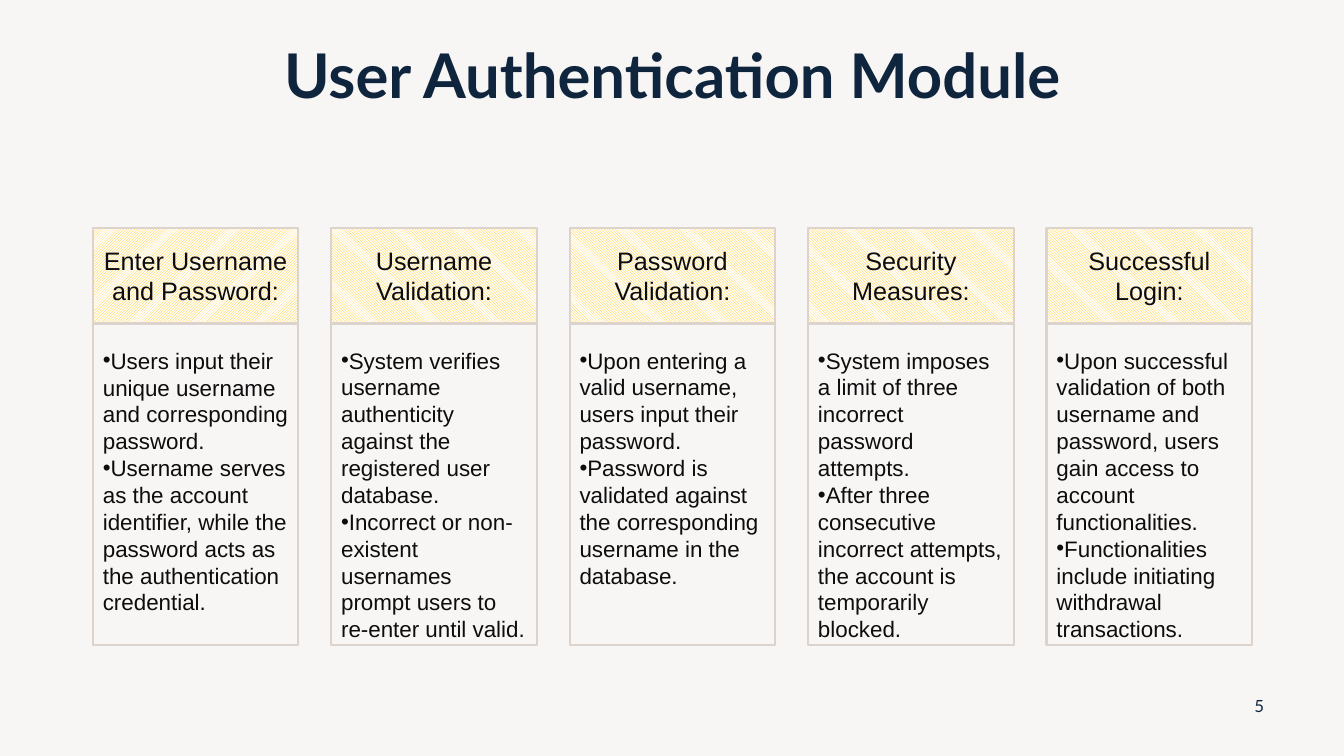
"""Build the User Authentication Module slide."""
from lxml.etree import SubElement
from pptx import Presentation
from pptx.dml.color import RGBColor
from pptx.enum.dml import MSO_PATTERN as Pattern
from pptx.enum.shapes import MSO_SHAPE as Shape
from pptx.enum.text import MSO_ANCHOR as Anchor, MSO_AUTO_SIZE as AutoSize, PP_ALIGN as Align
from pptx.oxml.ns import qn
from pptx.util import Inches, Pt

BACKGROUND = RGBColor(0xF8, 0xF6, 0xF5)
BORDER = RGBColor(0xDC, 0xD3, 0xCC)
GOLD = RGBColor(0xFF, 0xC0, 0x00)
WHITE = RGBColor(0xFF, 0xFF, 0xFF)
NAVY = RGBColor(0x0F, 0x25, 0x3E)
INK = RGBColor(0x0D, 0x0D, 0x0D)

LEFT, TOTAL_WIDTH, COLUMN_WIDTH = 0.92, 11.5, 2.04
HEADER_TOP, HEADER_HEIGHT = 2.26, 0.95
LIST_TOP, LIST_HEIGHT = 3.2, 3.2

COLUMNS = [
    ("Enter Username and Password:", [
        "Users input their unique username and corresponding password.",
        "Username serves as the account identifier, while the password acts as "
        "the authentication credential."]),
    ("Username Validation:", [
        "System verifies username authenticity against the registered user database.",
        "Incorrect or non-existent usernames prompt users to re-enter until valid."]),
    ("Password Validation:", [
        "Upon entering a valid username, users input their password.",
        "Password is validated against the corresponding username in the database."]),
    ("Security Measures:", [
        "System imposes a limit of three incorrect password attempts.",
        "After three consecutive incorrect attempts, the account is temporarily blocked."]),
    ("Successful Login:", [
        "Upon successful validation of both username and password, users gain "
        "access to account functionalities.",
        "Functionalities include initiating withdrawal transactions."]),
]


def place(box, left, top, width, height):
    """Set the position and size of a box in inches."""
    box.left, box.top = Inches(left), Inches(top)
    box.width, box.height = Inches(width), Inches(height)


def write(box, lines, font, size, color, align, anchor, bold=False):
    """Fill a box with one formatted paragraph per line."""
    frame = box.text_frame
    frame.text = "\n".join(lines)
    frame.word_wrap = True
    frame.auto_size = AutoSize.NONE
    frame.vertical_anchor = anchor
    for para in frame.paragraphs:
        para.alignment = align
        para.space_before = Pt(0)
        for span in para.runs:
            span.font.name = font
            span.font.size = Pt(size)
            span.font.bold = bold
            span.font.color.rgb = color


def outline(box):
    """Give a box the thin column border."""
    box.line.color.rgb = BORDER
    box.line.width = Pt(1.5)


def add_bullet(para):
    """Put a bullet flush against the paragraph text."""
    properties = para._p.get_or_add_pPr()
    properties.set("marL", "0")
    properties.set("indent", "0")
    SubElement(properties, qn("a:buFont")).set("typeface", "Arial")
    SubElement(properties, qn("a:buChar")).set("char", "•")


def format_list(box, left, items):
    """Turn a box into the bulleted list of a column."""
    place(box, left, LIST_TOP, COLUMN_WIDTH, LIST_HEIGHT)
    outline(box)
    write(box, items, "Arial", 16, INK, Align.LEFT, Anchor.TOP)
    box.text_frame.margin_top = Inches(0.24)
    for para in box.text_frame.paragraphs:
        add_bullet(para)


def add_header(slide, left, text, pattern):
    """Add the hatched heading of a column."""
    box = slide.shapes.add_shape(
        Shape.RECTANGLE, Inches(left), Inches(HEADER_TOP),
        Inches(COLUMN_WIDTH), Inches(HEADER_HEIGHT))
    box.shadow.inherit = False
    box.fill.patterned()
    box.fill.pattern = pattern
    box.fill.fore_color.rgb = GOLD
    box.fill.back_color.rgb = WHITE
    outline(box)
    write(box, [text], "Arial", 18, INK, Align.CENTER, Anchor.MIDDLE)
    box.text_frame.paragraphs[0].space_before = Pt(10)


def add_text_box(slide):
    """Add an empty text box to be placed later."""
    return slide.shapes.add_textbox(0, 0, 0, 0)


def main():
    """Build and save the deck."""
    deck = Presentation()
    deck.slide_width, deck.slide_height = Inches(13.33), Inches(7.5)
    slide = deck.slides.add_slide(deck.slide_layouts[1])
    slide.background.fill.solid()
    slide.background.fill.fore_color.rgb = BACKGROUND

    title, body = slide.placeholders
    place(title, LEFT, 0.4, TOTAL_WIDTH, 1.45)
    write(title, ["User Authentication Module"], "Lato", 44, NAVY,
          Align.CENTER, Anchor.TOP, bold=True)
    title.text_frame.paragraphs[0].line_spacing = 0.9

    pitch = (TOTAL_WIDTH - COLUMN_WIDTH) / (len(COLUMNS) - 1)
    for index, (heading, items) in enumerate(COLUMNS):
        left = LEFT + index * pitch
        first = index == 0
        format_list(body if first else add_text_box(slide), left, items)
        add_header(slide, left, heading, Pattern.LIGHT_UPWARD_DIAGONAL if first
                   else Pattern.LIGHT_DOWNWARD_DIAGONAL)

    number = add_text_box(slide)
    place(number, 12.24, 6.8, 0.5, 0.4)
    write(number, ["5"], "Lato", 12, NAVY, Align.CENTER, Anchor.MIDDLE)
    deck.save("out.pptx")


if __name__ == "__main__":
    main()
